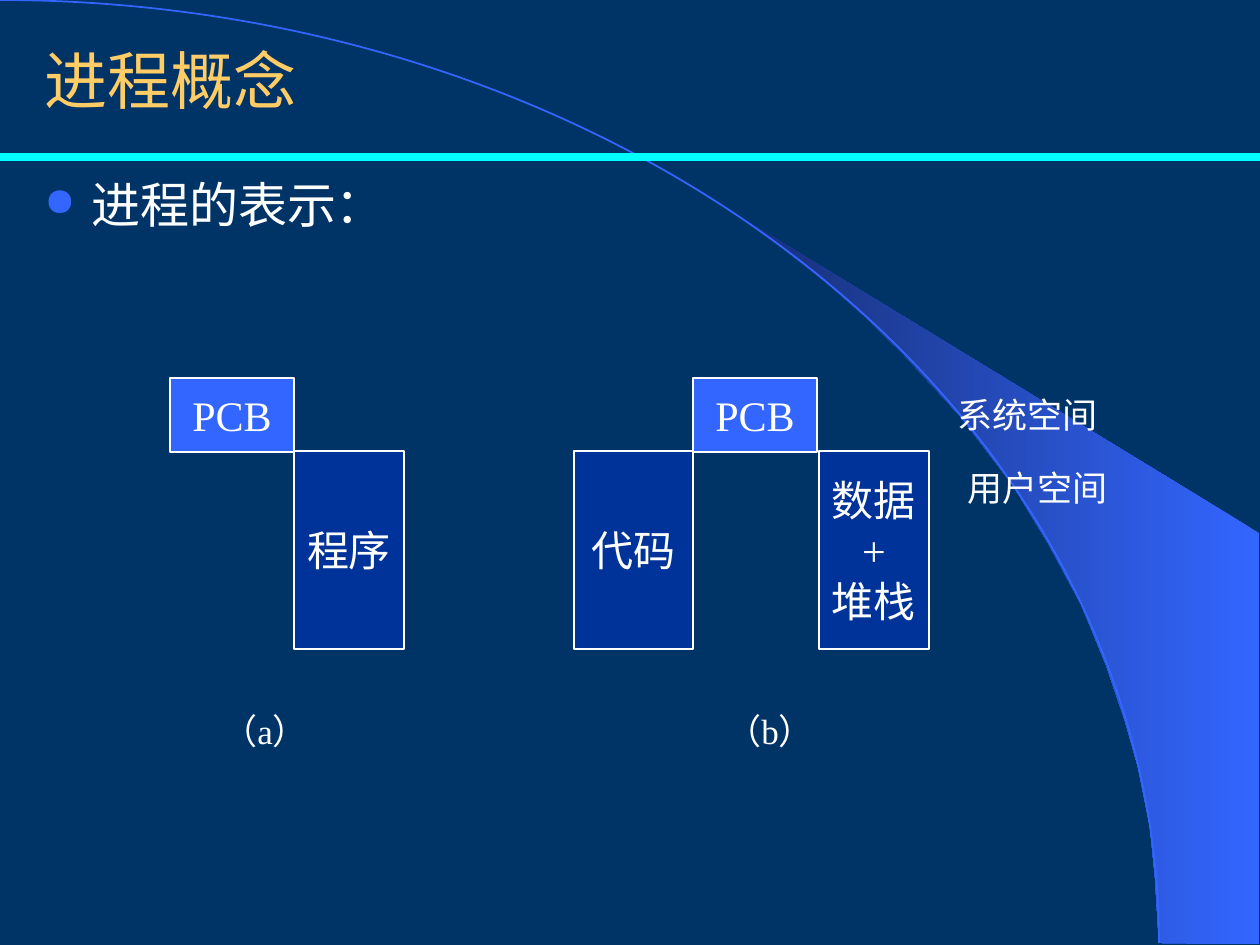
from lxml.etree import SubElement
from pptx import Presentation
from pptx.dml.color import RGBColor
from pptx.enum.shapes import MSO_CONNECTOR, MSO_SHAPE
from pptx.enum.text import MSO_ANCHOR, PP_ALIGN
from pptx.oxml.ns import qn
from pptx.util import Pt

EMU_PER_PX = 914400 / 126
SLIDE_WIDTH, SLIDE_HEIGHT = 1260, 945
SERIF, SANS, CHINESE = "Times New Roman", "Arial", "Noto Sans CJK SC"
WHITE, GOLD, CYAN = "FFFFFF", "FFCC66", "00FFFF"
NAVY, ROYAL, BRIGHT, SHADE = "003366", "003399", "3366FF", "172F75"


def px(length):
    return round(length * EMU_PER_PX)


def paint(color_format, color):
    color_format.rgb = RGBColor.from_string(color)


def add_run(paragraph, text, size, color, font):
    run = paragraph.add_run()
    run.text = text
    run.font.size = Pt(size)
    run.font.name = font
    paint(run.font.color, color)
    SubElement(run._r.get_or_add_rPr(), qn("a:ea"), typeface=CHINESE)


def add_text(slide, box, text, size, color=WHITE, font=SERIF, anchor=MSO_ANCHOR.TOP):
    shape = slide.shapes.add_textbox(*map(px, box))
    frame = shape.text_frame
    frame.word_wrap = True
    frame.vertical_anchor = anchor
    add_run(frame.paragraphs[0], text, size, color, font)
    return frame.paragraphs[0]


def add_block(slide, box, lines, color):
    shape = slide.shapes.add_shape(MSO_SHAPE.RECTANGLE, *map(px, box))
    shape.shadow.inherit = False
    shape.fill.solid()
    paint(shape.fill.fore_color, color)
    paint(shape.line.color, WHITE)
    shape.line.width = Pt(0.75)
    frame = shape.text_frame
    frame.word_wrap = False
    frame.vertical_anchor = MSO_ANCHOR.MIDDLE
    for index, line in enumerate(lines):
        paragraph = frame.add_paragraph() if index else frame.paragraphs[0]
        paragraph.alignment = PP_ALIGN.CENTER
        add_run(paragraph, line, 24, WHITE, SERIF)


def add_backdrop(slide, width, height):
    slide.background.fill.solid()
    paint(slide.background.fill.fore_color, NAVY)

    # Shaded band outside the curve
    outline = [(1159, 943), (1259, 944), (1259, 533), (742, 218), (786, 251),
               (823, 280), (863, 315), (902, 353), (960, 416), (1012, 484),
               (1048, 543), (1081, 604), (1106, 665), (1125, 721),
               (1138, 767), (1150, 827), (1155, 877)]
    builder = slide.shapes.build_freeform(*outline[0], scale=EMU_PER_PX)
    builder.add_line_segments(outline[1:], close=True)
    band = builder.convert_to_shape()
    band.shadow.inherit = False
    band.line.fill.background()
    band.fill.gradient()
    band.fill.gradient_angle = 180
    for stop, position, color in zip(band.fill.gradient_stops, (0, 1), (BRIGHT, SHADE)):
        stop.position = position
        paint(stop.color, color)

    # Quarter ellipse from the top left to the bottom edge
    radius = 1159
    arc = slide.shapes.add_shape(
        MSO_SHAPE.ARC, px(-radius), 0, px(2 * radius), px(2 * (height - 2)))
    arc.shadow.inherit = False
    arc.fill.background()
    paint(arc.line.color, BRIGHT)
    arc.line.width = Pt(1)

    # Rule below the title
    rule = slide.shapes.add_connector(
        MSO_CONNECTOR.STRAIGHT, 0, px(157), px(width), px(157))
    paint(rule.line.color, CYAN)
    rule.line.width = Pt(4.5)
    SubElement(rule._element.spPr, qn("a:effectLst"))


def add_heading(slide, left, top):
    add_text(slide, (left, top, 1071, 116), "进程概念", 36, GOLD, SANS, MSO_ANCHOR.MIDDLE)
    paragraph = add_text(slide, (left, top + 147, 1187, 725), "进程的表示：", 28, font=CHINESE)
    properties = paragraph._p.get_or_add_pPr()
    properties.set("marL", str(px(47)))
    properties.set("indent", str(px(-47)))
    bullet_color = SubElement(properties, qn("a:buClr"))
    SubElement(bullet_color, qn("a:srgbClr"), val=BRIGHT)
    SubElement(properties, qn("a:buSzPct"), val="80000")
    SubElement(properties, qn("a:buChar"), char="●")


def add_process(slide, left, top, segments, caption, caption_left):
    """PCB on top at (left, top); segments are (offset, width, lines) below it."""
    add_block(slide, (left, top, 124, 74), ["PCB"], BRIGHT)
    for offset, width, lines in segments:
        add_block(slide, (left + offset, top + 73, width, 198), lines, ROYAL)
    add_text(slide, (left + caption_left, top + 325, 199, 55), caption, 20)


def add_space_labels(slide, left, top):
    add_text(slide, (left, top, 199, 55), "系统空间", 20)
    add_text(slide, (left + 10, top + 73, 168, 55), "用户空间", 20)


def main():
    presentation = Presentation()
    presentation.slide_width = px(SLIDE_WIDTH)
    presentation.slide_height = px(SLIDE_HEIGHT)
    slide = presentation.slides.add_slide(presentation.slide_layouts[6])

    add_backdrop(slide, SLIDE_WIDTH, SLIDE_HEIGHT)
    add_heading(slide, 32, 21)
    # Two ways to represent a process
    add_process(slide, 170, 378, [(124, 110, ["程序"])], "（a）", 40)
    add_process(slide, 693, 378,
                [(-119, 119, ["代码"]), (126, 110, ["数据", "+", "堆栈"])], "（b）", 21)
    add_space_labels(slide, 945, 387)

    presentation.save("out.pptx")


if __name__ == "__main__":
    main()
